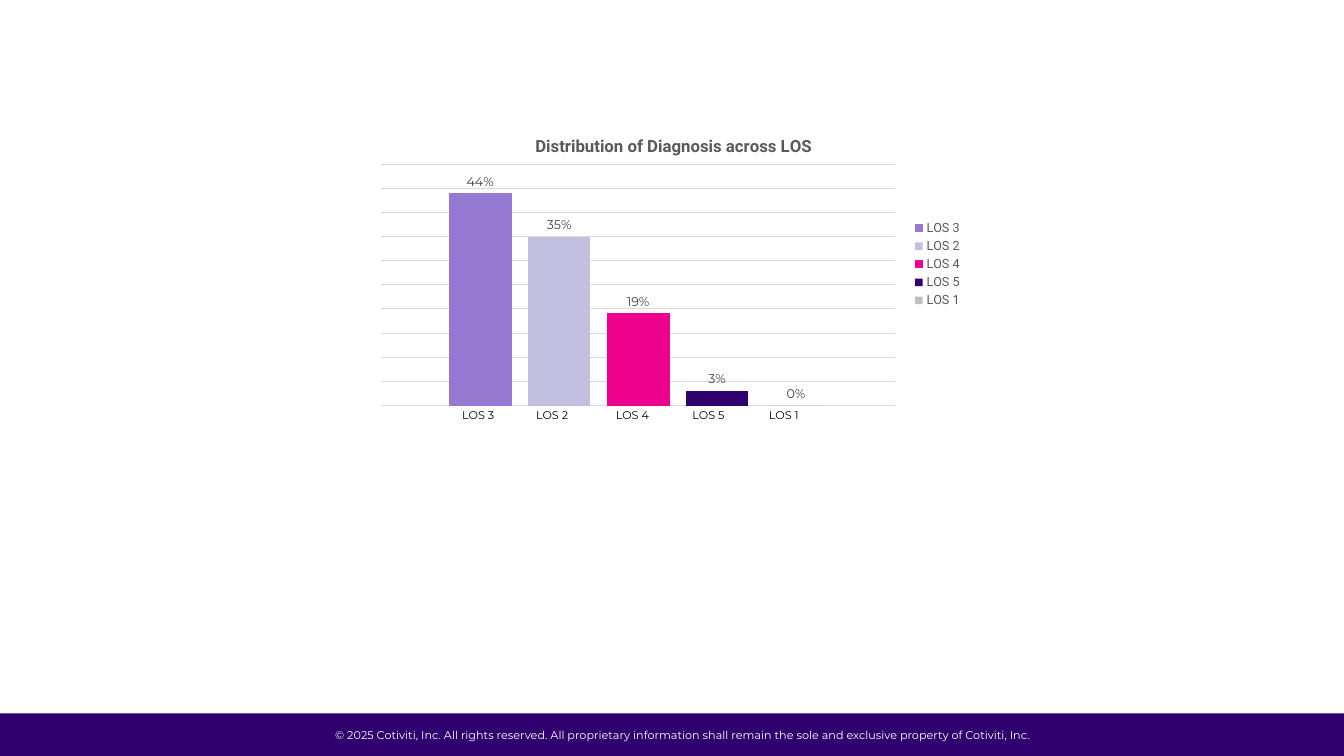
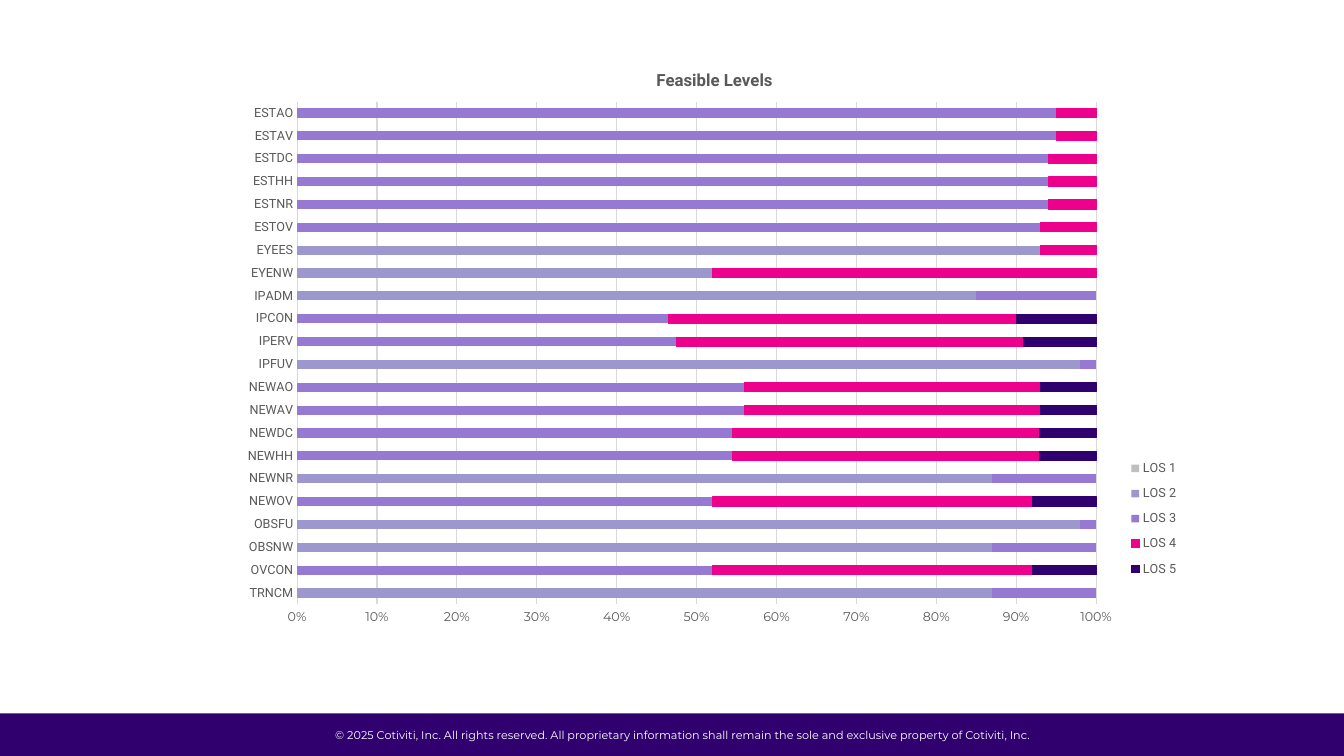
"""Build two chart slides on levels of service with a shared footer band."""
import lxml.etree
import pptx
import pptx.chart.data
import pptx.dml.color
import pptx.enum.chart
import pptx.enum.shapes
import pptx.enum.text
import pptx.oxml.ns
import pptx.util

Cm = pptx.util.Cm
Pt = pptx.util.Pt
chart_enum = pptx.enum.chart

COLORS = {
    "band": "30006F", "white": "FFFFFF", "black": "000000",
    "text": "595959", "label": "404040", "grid": "D9D9D9",
    "LOS 1": "BFBFBF", "LOS 2": "9C97CD", "pale LOS 2": "C2BFE0",
    "LOS 3": "9579D3", "LOS 4": "EC008C", "LOS 5": "31006F",
}
RGB = {name: pptx.dml.color.RGBColor.from_string(value) for name, value in COLORS.items()}

FONTS = {
    "footer": {"name": "Montserrat", "size": Pt(8), "color": "white"},
    "category": {"name": "Montserrat", "size": Pt(8), "color": "black"},
    "chart": {"name": "Montserrat", "size": Pt(10), "color": "black"},
    "title": {"name": "Roboto", "size": Pt(12), "bold": True, "color": "text"},
    "legend": {"name": "Roboto", "size": Pt(9), "color": "text"},
    "value axis": {"name": "Montserrat", "size": Pt(9), "color": "text"},
    "data label": {"name": "Montserrat", "size": Pt(9), "color": "label"},
}

CHARTS = [
    {
        "title": "Distribution of Diagnosis across LOS",
        "type": chart_enum.XL_CHART_TYPE.COLUMN_CLUSTERED,
        "box": (9.3, 2.95, 15.24, 7.42),
        "layouts": {"title": (0.27, 0.05), "plotArea": (0.02, 0.16, 0.85, 0.82),
                    "legend": (0.89, 0.34, 0.1, 0.32)},
        "plot": {"gap_width": 219, "overlap": -27},
        "axes": {"visible": False},
        "scale": {"minimum_scale": 0, "maximum_scale": 0.5, "major_unit": 0.05},
        "categories": ["1"],
        "series": {"LOS 3": [0.44], "LOS 2": [0.35], "LOS 4": [0.19],
                   "LOS 5": [0.03], "LOS 1": [0]},
        "fills": {"LOS 2": "pale LOS 2"},
        "outlined": ["LOS 3", "LOS 4"],
        "data_labels": True,
        "category_lefts": [11.4, 13.26, 15.27, 17.2, 19.13],
    },
    {
        "title": "Feasible Levels",
        "type": chart_enum.XL_CHART_TYPE.BAR_STACKED_100,
        "box": (5.79, 1.07, 24.26, 14.91),
        "layouts": {"title": (0.44, 0.04), "plotArea": (0.07, 0.1, 0.83, 0.85),
                    "legend": (0.93, 0.69, 0.06, 0.23)},
        "plot": {"gap_width": 150, "overlap": 100},
        "axes": {"major_tick_mark": chart_enum.XL_TICK_MARK.NONE},
        "scale": {"minimum_scale": 0, "maximum_scale": 1, "major_unit": 0.1},
        "categories": [
            "TRNCM", "OVCON", "OBSNW", "OBSFU", "NEWOV", "NEWNR", "NEWHH", "NEWDC",
            "NEWAV", "NEWAO", "IPFUV", "IPERV", "IPCON", "IPADM", "EYENW", "EYEES",
            "ESTOV", "ESTNR", "ESTHH", "ESTDC", "ESTAV", "ESTAO"],
        "series": {
            "LOS 1": [0] * 22,
            "LOS 2": [87, 0, 87, 98, 0, 87, 0, 0, 0, 0, 98, 0, 0, 85, 52, 93, 0, 0, 0, 0, 0, 0],
            "LOS 3": [13, 52, 13, 2, 52, 13, 54, 54, 56, 56, 2, 47, 47, 15, 0, 0,
                      93, 94, 94, 94, 95, 95],
            "LOS 4": [0, 40, 0, 0, 40, 0, 38, 38, 37, 37, 0, 43, 44, 0, 48, 7,
                      7, 6, 6, 6, 5, 5],
            "LOS 5": [0, 8, 0, 0, 8, 0, 7, 7, 7, 7, 0, 9, 10, 0, 0, 0, 0, 0, 0, 0, 0, 0],
        },
        "fills": {},
        "outlined": ["LOS 4", "LOS 5"],
        "data_labels": False,
        "category_lefts": [],
    },
]


def apply_format(target, values):
    for name, value in values.items():
        if name == "color":
            target.color.rgb = RGB[value]
        else:
            setattr(target, name, value)


def place_chart_part(chart, part, fractions):
    qn = pptx.oxml.ns.qn
    element = next(chart.element.iter(qn(f"c:{part}")))
    for old_layout in element.findall(qn("c:layout")):
        element.remove(old_layout)
    layout = lxml.etree.Element(qn("c:layout"))
    element.insert(0 if part == "plotArea" else 1, layout)
    manual = lxml.etree.SubElement(layout, qn("c:manualLayout"))
    settings = {"layoutTarget": "inner"} if part == "plotArea" else {}
    settings.update(xMode="edge", yMode="edge")
    settings.update(zip("xywh", fractions))
    for name, value in settings.items():
        lxml.etree.SubElement(manual, qn(f"c:{name}")).set("val", str(value))


presentation = pptx.Presentation()
apply_format(presentation, {"slide_width": Cm(33.87), "slide_height": Cm(19.05)})
slides = [presentation.slides.add_slide(presentation.slide_layouts[6]) for _ in CHARTS]

band = slides[0].shapes.add_shape(
    pptx.enum.shapes.MSO_SHAPE.RECTANGLE, 0, Cm(17.98), presentation.slide_width, Cm(1.07))
band.shadow.inherit = False
band.fill.solid()
band.fill.fore_color.rgb = RGB["band"]
band.line.fill.background()
footer = slides[0].shapes.add_textbox(Cm(8.15), Cm(18.24), Cm(18.14), Cm(0.61))
footer.text_frame.word_wrap = False
paragraph = footer.text_frame.paragraphs[0]
paragraph.text = ("© 2025 Cotiviti, Inc. All rights reserved. All proprietary information "
                  "shall remain the sole and exclusive property of Cotiviti, Inc.")
paragraph.alignment = pptx.enum.text.PP_ALIGN.CENTER
apply_format(paragraph.runs[0].font, FONTS["footer"])
for shape in (band, footer):
    presentation.slide_master.shapes.element.append(shape.element)

for slide, details in zip(slides, CHARTS):
    chart_data = pptx.chart.data.CategoryChartData()
    chart_data.categories = details["categories"]
    for name, values in details["series"].items():
        chart_data.add_series(name, values)
    box = [Cm(length) for length in details["box"]]
    chart = slide.shapes.add_chart(details["type"], *box, chart_data).chart
    apply_format(chart.font, FONTS["chart"])

    title_frame = chart.chart_title.text_frame
    title_frame.text = details["title"]
    apply_format(title_frame.paragraphs[0].runs[0].font, FONTS["title"])
    chart.has_legend = True
    chart.legend.include_in_layout = False
    apply_format(chart.legend.font, FONTS["legend"])

    plot = chart.plots[0]
    apply_format(plot, {"vary_by_categories": False, **details["plot"]})
    for series in plot.series:
        color = RGB[details["fills"].get(series.name, series.name)]
        apply_format(series, {"invert_if_negative": False})
        series.format.fill.solid()
        series.format.fill.fore_color.rgb = color
        if series.name in details["outlined"]:
            apply_format(series.format.line, {"width": Pt(0.75)})
            series.format.line.color.rgb = color
        else:
            series.format.line.fill.background()
        if details["data_labels"]:
            apply_format(series.data_labels, {
                "show_value": True, "number_format": "0%", "number_format_is_linked": False,
                "position": chart_enum.XL_LABEL_POSITION.OUTSIDE_END})
            apply_format(series.data_labels.font, FONTS["data label"])

    category_axis, value_axis = chart.category_axis, chart.value_axis
    for axis, font in ((category_axis, "legend"), (value_axis, "value axis")):
        apply_format(axis, details["axes"])
        apply_format(axis.tick_labels.font, FONTS[font])
    apply_format(value_axis, {"has_major_gridlines": True, **details["scale"]})
    apply_format(value_axis.tick_labels, {"number_format": "0%", "number_format_is_linked": False})
    value_axis.format.line.fill.background()
    for line in (category_axis.format.line, value_axis.major_gridlines.format.line):
        apply_format(line, {"width": Pt(0.75), "color": "grid"})

    for part, fractions in details["layouts"].items():
        place_chart_part(chart, part, fractions)

    for name, left in zip(details["series"], details["category_lefts"]):
        label = slide.shapes.add_textbox(Cm(left), Cm(10.16), Cm(1.68), Cm(0.86))
        label.text_frame.word_wrap = True
        label.text_frame.text = name
        apply_format(label.text_frame.paragraphs[0].runs[0].font, FONTS["category"])

presentation.save("out.pptx")
